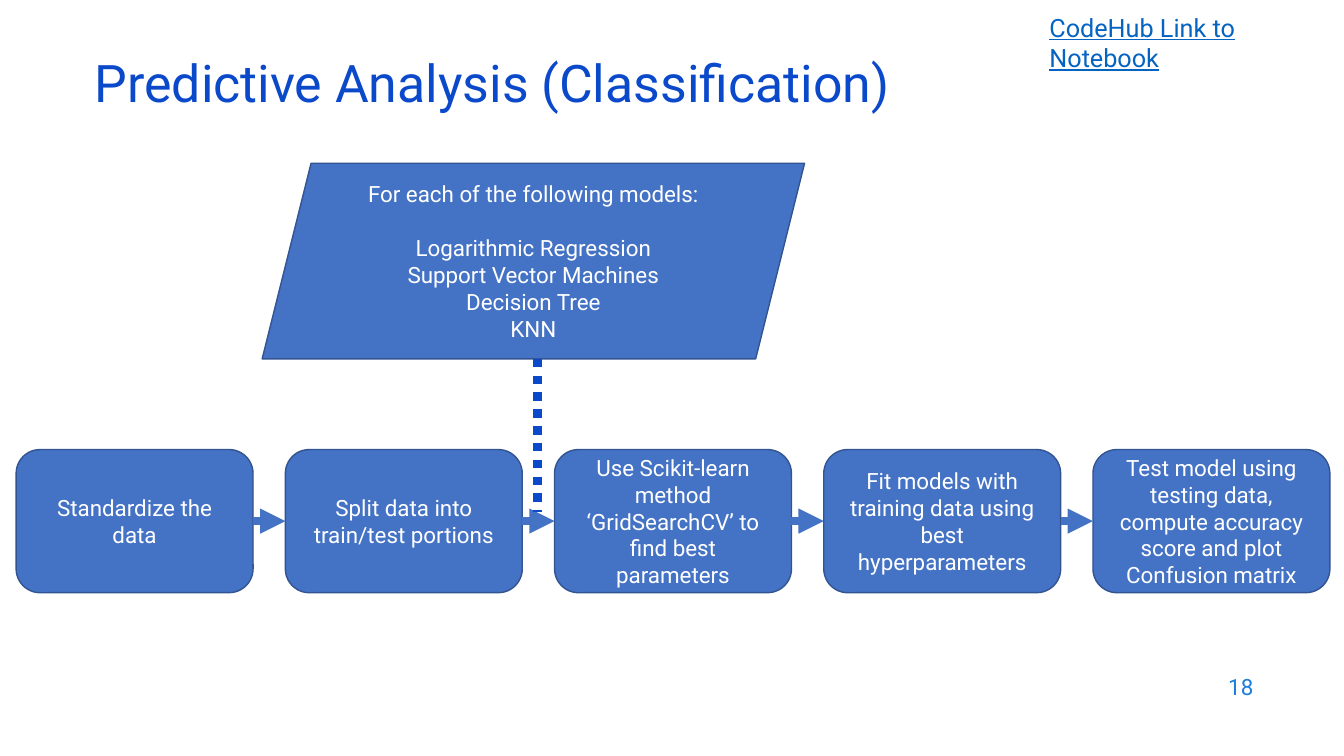
from itertools import pairwise

from lxml.etree import SubElement
from pptx import Presentation
from pptx.dml.color import RGBColor
from pptx.enum.dml import MSO_LINE as Dash
from pptx.enum.shapes import MSO_CONNECTOR as Conn, MSO_SHAPE as Shape
from pptx.enum.text import MSO_ANCHOR as Anchor, MSO_AUTO_SIZE as Fit, PP_ALIGN as Align
from pptx.oxml.ns import qn
from pptx.util import Pt

PX = 9144  # EMU per px, 100 px to the inch


def px(*nums):
    return [n * PX for n in nums]


def color(code):
    return RGBColor.from_string(code)


class Deck:
    font = "Roboto"
    fill, edge, white = "4472C4", "325491", "FFFFFF"
    navy, sky, link = "0B49CB", "1C7DDB", "0563C1"

    def __init__(self):
        self.prs = Presentation()
        self.prs.slide_width, self.prs.slide_height = px(1333, 750)
        self.slide = self.prs.slides.add_slide(self.prs.slide_layouts[5])
        self.shapes = self.slide.shapes

    def text(self, shape, words, size, tint, align=Align.LEFT, anchor=Anchor.MIDDLE):
        frame = shape.text_frame
        frame.text = words
        frame.word_wrap = True
        frame.auto_size = Fit.NONE
        frame.vertical_anchor = anchor
        for para in frame.paragraphs:
            para.alignment = align
            para.font.name = self.font
            para.font.size = Pt(size)
            para.font.color.rgb = color(tint)
        return frame.paragraphs

    def title(self, words, *box):
        shape = self.shapes.title
        shape.left, shape.top, shape.width, shape.height = px(*box)
        self.text(shape, words, 37, self.navy)[0].line_spacing = 0.7

    def label(self, words, size, tint, *box, **style):
        return self.text(self.shapes.add_textbox(*px(*box)), words, size, tint, **style)

    def block(self, kind, words, *box):
        shape = self.shapes.add_shape(kind, *px(*box))
        shape.shadow.inherit = False
        shape.fill.solid()
        shape.fill.fore_color.rgb = color(self.fill)
        shape.line.color.rgb = color(self.edge)
        shape.line.width = Pt(1)
        self.text(shape, words, 16, self.white, Align.CENTER)
        return shape

    def line(self, tint, *ends):
        wire = self.shapes.add_connector(Conn.STRAIGHT, *px(*ends))
        wire.line.color.rgb = color(tint)
        wire.line.width = Pt(6)
        SubElement(wire.element.spPr, qn("a:effectLst"))
        return wire

    def arrow(self, start, end):
        wire = self.line(self.fill, 0, 0, 0, 0)
        wire.begin_connect(start, 3)
        wire.end_connect(end, 1)
        SubElement(wire.element.spPr.find(qn("a:ln")), qn("a:tailEnd"), type="triangle")


def main():
    deck = Deck()

    # Heading, page number and link text
    deck.title("Predictive Analysis (Classification)", 84, 59, 1150, 60)
    deck.label("18", 16, deck.sky, 953, 659, 300, 44, align=Align.RIGHT)
    link = deck.label("CodeHub Link to Notebook", 18, deck.link,
                      1031, 7, 289, 40, anchor=Anchor.TOP)
    link[0].font.underline = True

    # Process steps
    steps = [
        "Standardize the data",
        "Split data into train/test portions",
        "Use Scikit-learn method ‘GridSearchCV’ to find best parameters",
        "Fit models with training data using best hyperparameters",
        "Test model using testing data, compute accuracy score and plot Confusion matrix",
    ]
    boxes = [deck.block(Shape.ROUNDED_RECTANGLE, step, 16 + 267 * i, 446, 235, 142)
             for i, step in enumerate(steps)]
    for start, end in pairwise(boxes):
        deck.arrow(start, end)

    # Models that feed the search
    models = ["For each of the following models:", "Logarithmic Regression",
              "Support Vector Machines", "Decision Tree", "KNN"]
    panel = deck.block(Shape.PARALLELOGRAM, "\n".join(models), 260, 162, 538, 194)
    panel.text_frame.paragraphs[1].space_before = Pt(19)
    deck.line(deck.navy, 533, 356, 533, 508).line.dash_style = Dash.ROUND_DOT

    deck.prs.save("out.pptx")


if __name__ == "__main__":
    main()
